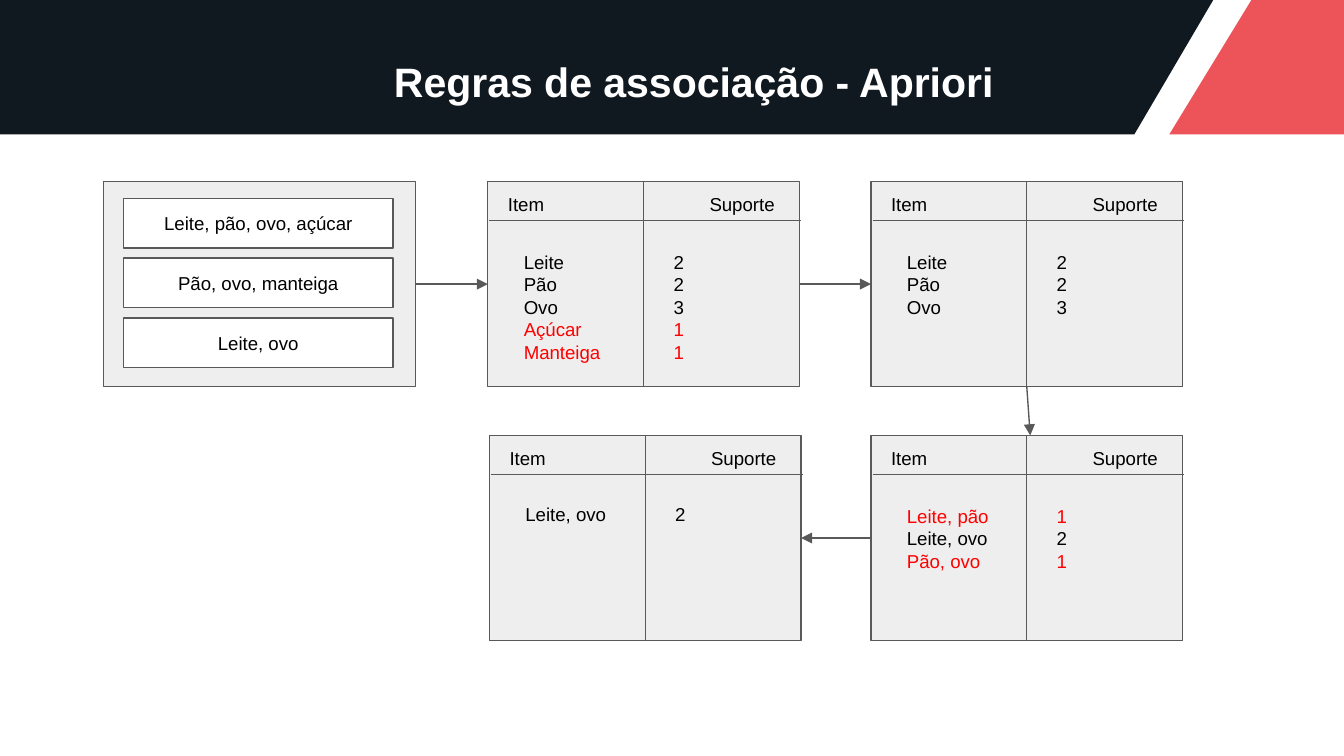
from lxml.etree import SubElement
from pptx import Presentation
from pptx.dml.color import RGBColor
from pptx.enum.shapes import MSO_CONNECTOR, MSO_SHAPE
from pptx.enum.text import MSO_ANCHOR, PP_ALIGN
from pptx.oxml.ns import qn
from pptx.util import Cm, Pt

BLACK, WHITE, RED, GRAY, PALE = "000000", "FFFFFF", "FF0000", "595959", "EEEEEE"
TABLE_WIDTH, TABLE_HEIGHT = 5.89, 3.88
TOP_ROW, BOTTOM_ROW = 3.43, 8.23
BASKETS = ["Leite, pão, ovo, açúcar", "Pão, ovo, manteiga", "Leite, ovo"]
MINIMUM_SUPPORT = 2


def color(value):
    """Turn a hex string into a colour."""
    return RGBColor.from_string(value)


def write_text(shape, lines, size=10, colors=(BLACK,), bold=False,
               align=PP_ALIGN.LEFT, anchor=MSO_ANCHOR.TOP):
    """Fill a shape with one paragraph per line, cycling through the colours."""
    frame = shape.text_frame
    frame.word_wrap = True
    frame.vertical_anchor = anchor
    frame.margin_left = frame.margin_right = Cm(0.25)
    frame.margin_top = frame.margin_bottom = Cm(0.25)
    for index, line in enumerate(lines):
        paragraph = frame.add_paragraph() if index else frame.paragraphs[0]
        paragraph.alignment = align
        run = paragraph.add_run()
        run.text = line
        run.font.name = "Arial"
        run.font.size = Pt(size)
        run.font.bold = bold
        run.font.color.rgb = color(colors[index % len(colors)])


def add_box(slide, left, top, width, height, fill, line=GRAY, kind=MSO_SHAPE.RECTANGLE):
    """Add a filled preset shape, outlined when a line colour is given."""
    shape = slide.shapes.add_shape(kind, Cm(left), Cm(top), Cm(width), Cm(height))
    shape.shadow.inherit = False
    shape.fill.solid()
    shape.fill.fore_color.rgb = color(fill)
    if line:
        shape.line.color.rgb = color(line)
        shape.line.width = Pt(0.75)
    else:
        shape.line.fill.background()
    return shape


def add_band(slide, left, width, slant, fill):
    """Add a slanted band to the heading."""
    band = add_box(slide, left, 0, width, 2.54, fill, None, MSO_SHAPE.PARALLELOGRAM)
    band.adjustments[0] = slant


def add_text(slide, left, top, width, lines, **text_format):
    """Add a text box as tall as its lines."""
    height = 0.51 + 0.42 * len(lines)
    box = slide.shapes.add_textbox(Cm(left), Cm(top), Cm(width), Cm(height))
    write_text(box, lines, **text_format)


def add_line(slide, start, end):
    """Add a thin straight line between two points."""
    line = slide.shapes.add_connector(MSO_CONNECTOR.STRAIGHT, *map(Cm, start + end))
    line.line.color.rgb = color(GRAY)
    line.line.width = Pt(0.75)
    SubElement(line.element.spPr, qn("a:effectLst"))
    return line


def add_arrow(slide, source, source_side, target=None, target_side=None, end=(0, 0)):
    """Add an arrow from a box side to another box side or to a point."""
    arrow = add_line(slide, (0, 0), end)
    arrow.begin_connect(source, source_side)
    if target is not None:
        arrow.end_connect(target, target_side)
    SubElement(arrow.line._get_or_add_ln(), qn("a:tailEnd"), type="triangle")


def add_support_table(slide, left, top, counts):
    """Add a frame of items and counts, marking those under the minimum support."""
    frame = add_box(slide, left, top, TABLE_WIDTH, TABLE_HEIGHT, PALE)
    rule, middle = top + 0.74, left + TABLE_WIDTH / 2
    add_line(slide, (left + 0.03, rule), (left + TABLE_WIDTH + 0.03, rule))
    add_line(slide, (middle, top), (middle, top + TABLE_HEIGHT))
    colors = [RED if count < MINIMUM_SUPPORT else BLACK for count in counts.values()]
    columns = [(0.43, list(counts)), (3.26, [str(count) for count in counts.values()])]
    for offset, lines in columns:
        add_text(slide, left + offset, top + 1.06, 2.21, lines, colors=colors)
    add_text(slide, left + 0.13, top, 5.76, ["Item\t\t\tSuporte"])
    return frame


def add_title(slide, text):
    """Place the title over the heading bands."""
    title = slide.shapes.title
    title.left, title.top, title.width, title.height = map(Cm, (1.75, 0.61, 22.73, 1.83))
    write_text(title, [text], size=22, colors=(WHITE,), bold=True,
               align=PP_ALIGN.CENTER, anchor=MSO_ANCHOR.MIDDLE)
    title.element.getparent().append(title.element)


def add_baskets(slide):
    """Add the frame with one box per basket."""
    frame = add_box(slide, 1.96, TOP_ROW, TABLE_WIDTH, TABLE_HEIGHT, PALE)
    for index, basket in enumerate(BASKETS):
        box = add_box(slide, 2.33, 3.75 + 1.13 * index, 5.1, 0.94, WHITE)
        write_text(box, [basket], align=PP_ALIGN.CENTER, anchor=MSO_ANCHOR.MIDDLE)
    return frame


def main():
    """Build the slide and save it."""
    presentation = Presentation()
    presentation.slide_width, presentation.slide_height = Cm(25.4), Cm(14.29)
    slide = presentation.slides.add_slide(presentation.slide_layouts[5])
    add_band(slide, -2.11, 25.04, 0.587, "101820")
    add_band(slide, 22.1, 5.11, 0.611, "EC5459")
    add_title(slide, "Regras de associação - Apriori")

    baskets = add_baskets(slide)
    single_items = add_support_table(
        slide, 9.22, TOP_ROW, {"Leite": 2, "Pão": 2, "Ovo": 3, "Açúcar": 1, "Manteiga": 1})
    frequent_items = add_support_table(
        slide, 16.46, TOP_ROW, {"Leite": 2, "Pão": 2, "Ovo": 3})
    pairs = add_support_table(
        slide, 16.46, BOTTOM_ROW, {"Leite, pão": 1, "Leite, ovo": 2, "Pão, ovo": 1})
    frequent_pairs = add_support_table(slide, 9.25, BOTTOM_ROW, {"Leite, ovo": 2})

    add_arrow(slide, baskets, 3, single_items, 1)
    add_arrow(slide, single_items, 3, frequent_items, 1)
    add_arrow(slide, frequent_items, 2, end=(19.47, BOTTOM_ROW))
    add_arrow(slide, pairs, 1, frequent_pairs, 3)
    presentation.save("out.pptx")


if __name__ == "__main__":
    main()
